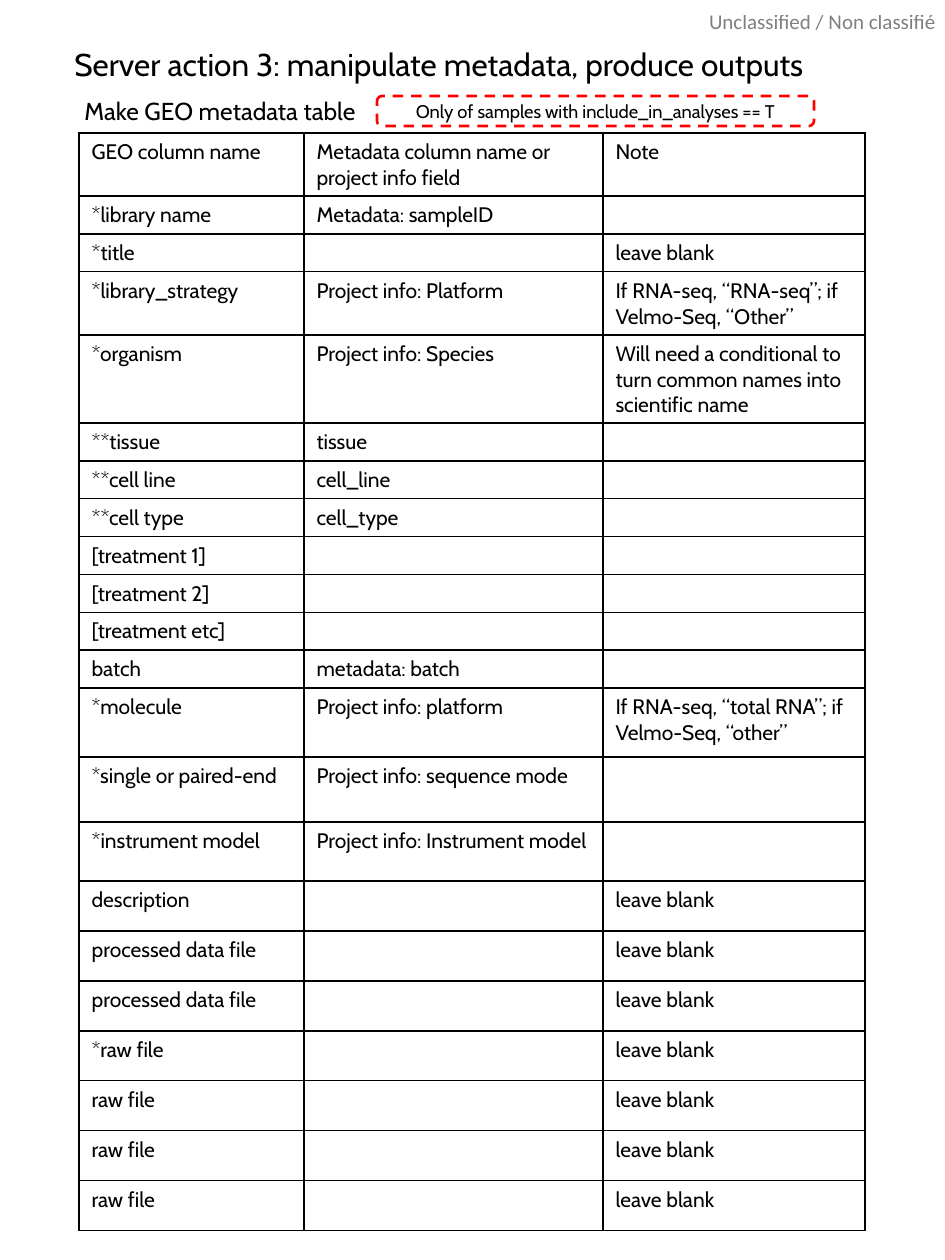
from lxml.etree import SubElement
from pptx import Presentation
from pptx.dml.color import RGBColor
from pptx.enum.dml import MSO_LINE
from pptx.enum.shapes import MSO_SHAPE
from pptx.enum.text import MSO_ANCHOR, MSO_AUTO_SIZE, PP_ALIGN
from pptx.oxml.ns import qn
from pptx.util import Emu, Pt

PX = 914400 / 126
BLACK = RGBColor(0x00, 0x00, 0x00)
RED = RGBColor(0xFF, 0x00, 0x00)
BLANK = "leave blank"

# GEO column, source field, note, row height
ROWS = [
    ("GEO column name", "Metadata column name or project info field", "Note", 59),
    ("*library name", "Metadata: sampleID", "", 35),
    ("*title", "", BLANK, 35),
    ("*library_strategy", "Project info: Platform",
     "If RNA-seq, “RNA-seq”; if Velmo-Seq, “Other”", 59),
    ("*organism", "Project info: Species",
     "Will need a conditional to turn common names into scientific name", 83),
    ("**tissue", "tissue", "", 35),
    ("**cell line", "cell_line", "", 35),
    ("**cell type", "cell_type", "", 35),
    ("[treatment 1]", "", "", 35),
    ("[treatment 2]", "", "", 35),
    ("[treatment etc]", "", "", 35),
    ("batch", "metadata: batch", "", 35),
    ("*molecule", "Project info: platform",
     "If RNA-seq, “total RNA”; if Velmo-Seq, “other”", 69),
    ("*single or paired-end", "Project info: sequence mode", "", 65),
    ("*instrument model", "Project info: Instrument model", "", 59),
    ("description", "", BLANK, 50),
    ("processed data file", "", BLANK, 50),
    ("processed data file", "", BLANK, 50),
    ("*raw file", "", BLANK, 50),
    ("raw file", "", BLANK, 50),
    ("raw file", "", BLANK, 50),
    ("raw file", "", BLANK, 50),
]
WIDTHS = [225, 299, 262]


def px(*nums):
    return [Emu(round(n * PX)) for n in nums]


def write(frame, text, size, font="Cabin"):
    run = frame.paragraphs[0].add_run()
    run.text = text
    run.font.size = Pt(size)
    run.font.name = font
    run.font.color.rgb = BLACK
    return run


deck = Presentation()
deck.slide_width, deck.slide_height = px(945, 1260)
slide = deck.slides.add_slide(deck.slide_layouts[6])
shapes = slide.shapes

# Classification mark, half transparent
mark = shapes.add_textbox(*px(709, 9, 232, 25)).text_frame
mark.margin_left = mark.margin_right = mark.margin_top = mark.margin_bottom = 0
mark.word_wrap = True
mark.auto_size = MSO_AUTO_SIZE.SHAPE_TO_FIT_TEXT
run = write(mark, "Unclassified / Non classifié", 12, "Calibri")
color = run._r.find(".//" + qn("a:srgbClr"))
SubElement(color, qn("a:alpha"), val="50000")

# Headings
for text, size, wrap, box in [
    ("Server action 3: manipulate metadata, produce outputs", 18, False,
     (62, 39, 784, 50)),
    ("Make GEO metadata table", 14, True, (72, 90, 305, 43)),
]:
    frame = shapes.add_textbox(*px(*box)).text_frame
    frame.word_wrap = wrap
    frame.auto_size = MSO_AUTO_SIZE.SHAPE_TO_FIT_TEXT
    write(frame, text, size)

# Sample filter
rule = shapes.add_shape(MSO_SHAPE.ROUNDED_RECTANGLE, *px(377, 96, 437, 30))
rule.shadow.inherit = False
rule.fill.background()
rule.line.color.rgb = RED
rule.line.width = Pt(1.5)
rule.line.dash_style = MSO_LINE.DASH
rule.text_frame.word_wrap = True
rule.text_frame.vertical_anchor = MSO_ANCHOR.MIDDLE
rule.text_frame.paragraphs[0].alignment = PP_ALIGN.CENTER
write(rule.text_frame, "Only of samples with include_in_analyses == T", 10.5)

# Metadata table
holder = shapes.add_table(len(ROWS), len(WIDTHS), *px(79, 133, 786, 1099))
table = holder.table
table.first_row = table.horz_banding = False
for col, wide in zip(table.columns, px(*WIDTHS)):
    col.width = wide
for r, (*texts, high) in enumerate(ROWS):
    table.rows[r].height = px(high)[0]
    for c, text in enumerate(texts):
        cell = table.cell(r, c)
        props = cell._tc.get_or_add_tcPr()
        for side in ("lnL", "lnR", "lnT", "lnB"):
            edge = SubElement(props, qn("a:" + side), w=str(Pt(1)))
            fill = SubElement(edge, qn("a:solidFill"))
            SubElement(fill, qn("a:srgbClr"), val=str(BLACK))
        cell.fill.background()
        if text:
            write(cell.text_frame, text, 12)
        else:
            para = cell.text_frame.paragraphs[0]._p
            end = SubElement(para, qn("a:endParaRPr"), sz="1200")
            SubElement(end, qn("a:latin"), typeface="Cabin")

deck.save("out.pptx")
